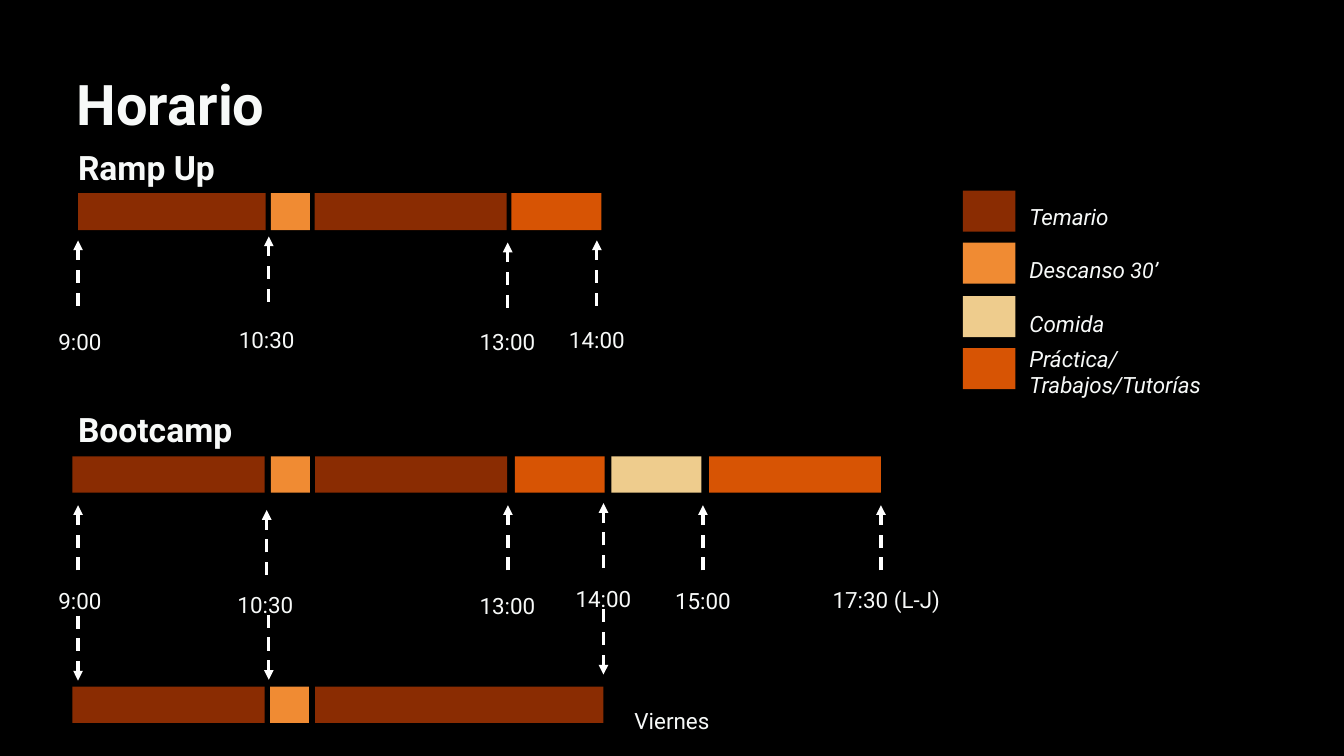
from lxml.etree import SubElement
from pptx import Presentation
from pptx.dml.color import RGBColor
from pptx.enum.dml import MSO_LINE_DASH_STYLE as Dash
from pptx.enum.shapes import MSO_CONNECTOR_TYPE as Connector, MSO_AUTO_SHAPE_TYPE as Shape
from pptx.enum.text import PP_ALIGN as Align
from pptx.oxml.ns import qn
from pptx.util import Cm, Pt

rgb = RGBColor.from_string
TOPIC, BREAK, LUNCH, PRACTICE = "8A2C02", "F08B33", "EECC8D", "D75404"
ARROW_LENGTH = 2.46
TIME_WIDTH = 4.67

presentation = Presentation()
presentation.slide_width, presentation.slide_height = Cm(50.8), Cm(28.58)
slide = presentation.slides.add_slide(presentation.slide_layouts[6])
slide.background.fill.solid()
slide.background.fill.fore_color.rgb = rgb("000000")


def add_block(left, top, width, height, color):
    shape = slide.shapes.add_shape(Shape.RECTANGLE, Cm(left), Cm(top), Cm(width), Cm(height))
    shape.shadow.inherit = False
    shape.fill.solid()
    shape.fill.fore_color.rgb = rgb(color)
    shape.line.fill.background()


def add_text(runs, left, top, width, height, align=Align.LEFT, spacing=1.5, **style):
    box = slide.shapes.add_textbox(Cm(left), Cm(top), Cm(width), Cm(height))
    frame = box.text_frame
    frame_format = {"word_wrap": True, "margin_left": 0, "margin_right": 0,
                    "margin_top": 0, "margin_bottom": 0}
    for name, value in frame_format.items():
        setattr(frame, name, value)
    paragraph = frame.paragraphs[0]
    paragraph.alignment, paragraph.line_spacing = align, spacing
    for text, size in runs:
        run = paragraph.add_run()
        run.text = text
        run.font.color.rgb = rgb("F7F9F8")
        for name, value in {"name": "Roboto", "size": Pt(size), **style}.items():
            setattr(run.font, name, value)


headings = [
    ("Horario", 60, 2.9, 1.37, 10.06, 3.81),
    ("Ramp Up", 36, 2.95, 4.8, 8.74, 2.29),
    ("Bootcamp", 36, 2.95, 14.71, 8.74, 2.29),
]
for text, size, left, top, width, height in headings:
    add_text([(text, size)], left, top, width, height, bold=True)

timelines = [
    (7.3, 1.4, [(2.95, 7.09, TOPIC), (10.24, 1.47, BREAK), (11.89, 7.26, TOPIC),
                (19.33, 3.4, PRACTICE)]),
    (17.25, 1.38, [(2.74, 7.26, TOPIC), (10.24, 1.47, BREAK), (11.91, 7.26, TOPIC),
                   (19.46, 3.4, PRACTICE), (23.11, 3.4, LUNCH), (26.8, 6.5, PRACTICE)]),
    (25.96, 1.37, [(2.74, 7.26, TOPIC), (10.21, 1.47, BREAK), (11.91, 10.9, TOPIC)]),
]
for top, height, blocks in timelines:
    for left, width, color in blocks:
        add_block(left, top, width, height, color)

arrows_up = [
    (2.95, 9.09), (10.16, 8.94), (19.19, 9.17), (22.56, 9.09),
    (2.95, 19.1), (10.08, 19.28), (19.2, 19.1), (22.81, 19.02), (26.57, 19.1), (33.3, 19.1),
]
arrows_down = [(2.95, 23.27), (10.16, 23.24), (22.81, 23.04)]
arrows = [(x, top + ARROW_LENGTH, top) for x, top in arrows_up]
arrows += [(x, top, top + ARROW_LENGTH) for x, top in arrows_down]
for x, start, end in arrows:
    arrow = slide.shapes.add_connector(Connector.STRAIGHT, Cm(x), Cm(start), Cm(x), Cm(end))
    arrow.line.color.rgb = rgb("FFFFFF")
    for name, value in {"width": Pt(3.5), "dash_style": Dash.DASH}.items():
        setattr(arrow.line, name, value)
    SubElement(arrow.line._get_or_add_ln(), qn("a:tailEnd"), type="triangle")
    SubElement(arrow._element.spPr, qn("a:effectLst"))

times = [
    ("9:00", 3.02, 11.89), ("10:30", 10.08, 11.81), ("13:00", 19.18, 11.89),
    ("14:00", 22.56, 11.81),
    ("9:00", 3.02, 21.69), ("10:30", 10.03, 21.82), ("13:00", 19.18, 21.87),
    ("14:00", 22.81, 21.62), ("15:00", 26.57, 21.69), ("17:30 (L-J)", 33.5, 21.64),
    ("Viernes", 25.4, 26.21),
]
for text, center, top in times:
    add_text([(text, 24)], center - TIME_WIDTH / 2, top, TIME_WIDTH, 1.35, Align.CENTER)

legend = [
    ([("Temario", 24)], TOPIC, 7.21, 7.16, 1.5),
    ([("Descanso", 24), (" 30’", 23)], BREAK, 9.17, 9.19, 1.5),
    ([("Comida", 24)], LUNCH, 11.2, 11.2, 1.5),
    ([("Práctica/Trabajos/Tutorías", 24)], PRACTICE, 13.16, 13.03, 1.0),
]
for runs, color, block_top, text_top, spacing in legend:
    add_block(36.4, block_top, 1.98, 1.55, color)
    add_text(runs, 38.91, text_top, 6.81, 1.52, spacing=spacing, italic=True)

presentation.save("out.pptx")
